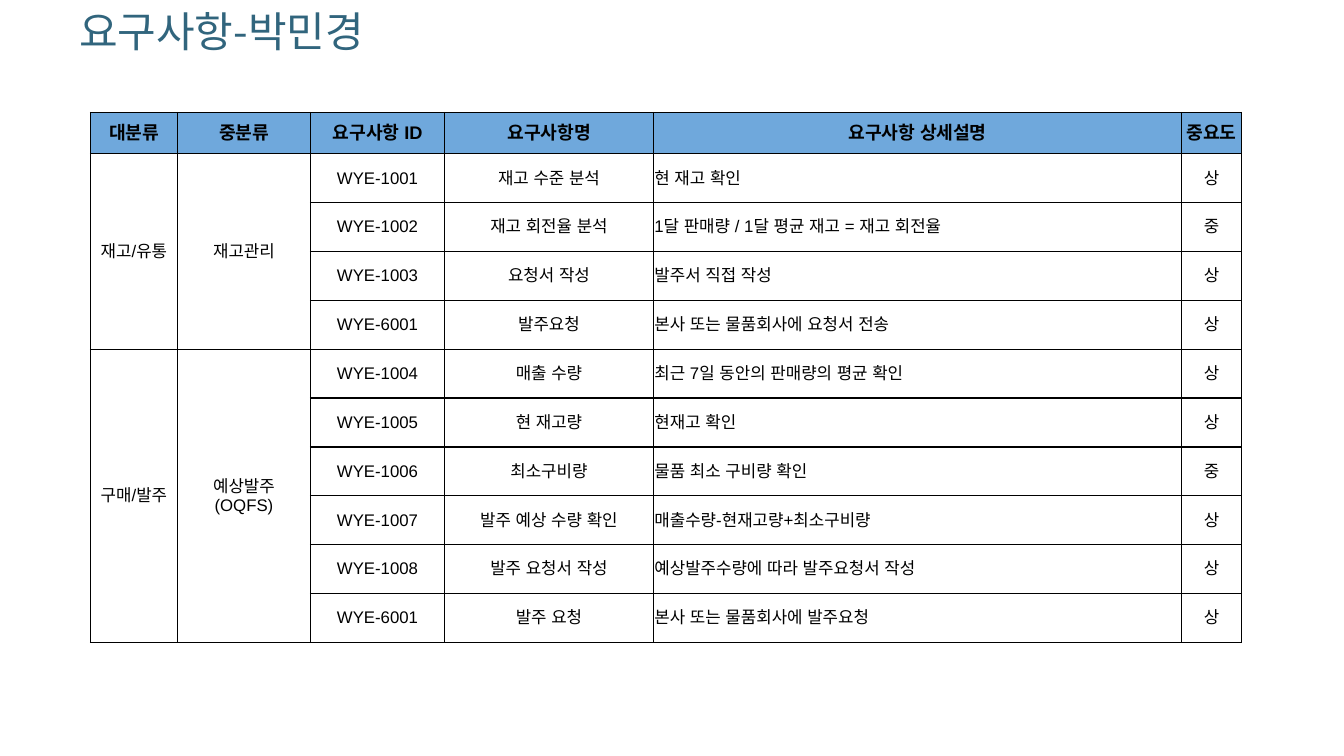
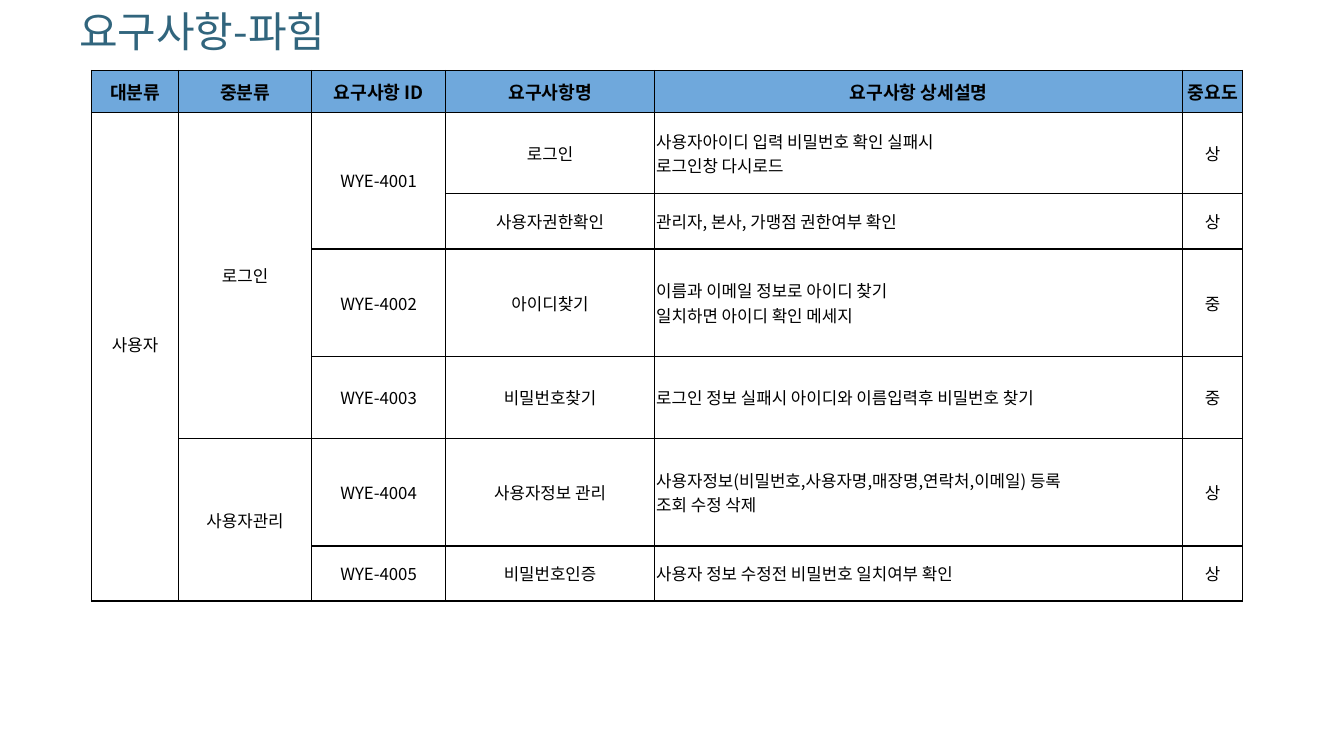
from dataclasses import dataclass

from lxml import etree
from pptx import Presentation
from pptx.dml.color import RGBColor
from pptx.enum.text import MSO_ANCHOR, MSO_AUTO_SIZE, PP_ALIGN
from pptx.oxml.ns import qn
from pptx.util import Pt

LEFT, CENTER = PP_ALIGN.LEFT, PP_ALIGN.CENTER
MIDDLE = MSO_ANCHOR.MIDDLE
NO_AUTOFIT = MSO_AUTO_SIZE.NONE
TITLE_ONLY = 5


@dataclass(frozen=True)
class Theme:
    """Colours, fonts, type sizes and line width of the deck."""
    title: str = "31657D"
    header: str = "6FA8DC"
    ink: str = "000000"
    korean: str = "Noto Sans CJK KR"
    latin: str = "Arial"
    title_size: float = 30
    header_size: float = 13
    body_size: float = 12
    border: float = 1


THEME = Theme()
TITLE_BOX = (42.5, 0, 310, 44)
TITLE_INDENT = 14
COLUMNS = (62.2, 95, 95.8, 149.2, 377.2, 43)
DETAIL_COLUMN = 4
HEADINGS = ("대분류", "중분류", "요구사항 ID", "요구사항명", "요구사항 상세설명", "중요도")

STOCK_ROWS = [
    ("재고/유통", "재고관리", "WYE-1001", "재고 수준 분석", "현 재고 확인", "상"),
    (None, None, "WYE-1002", "재고 회전율 분석", "1달 판매량 / 1달 평균 재고 = 재고 회전율", "중"),
    (None, None, "WYE-1003", "요청서 작성", "발주서 직접 작성", "상"),
    (None, None, "WYE-6001", "발주요청", "본사 또는 물품회사에 요청서 전송", "상"),
    ("구매/발주", "예상발주\n(OQFS)", "WYE-1004", "매출 수량", "최근 7일 동안의 판매량의 평균 확인", "상"),
    (None, None, "WYE-1005", "현 재고량", "현재고 확인", "상"),
    (None, None, "WYE-1006", "최소구비량", "물품 최소 구비량 확인", "중"),
    (None, None, "WYE-1007", "발주 예상 수량 확인", "매출수량-현재고량+최소구비량", "상"),
    (None, None, "WYE-1008", "발주 요청서 작성", "예상발주수량에 따라 발주요청서 작성", "상"),
    (None, None, "WYE-6001", "발주 요청", "본사 또는 물품회사에 발주요청", "상"),
]
USER_ROWS = [
    ("사용자", "로그인", "WYE-4001", "로그인",
     "사용자아이디 입력 비밀번호 확인 실패시\n로그인창 다시로드", "상"),
    (None, None, None, "사용자권한확인", "관리자, 본사, 가맹점 권한여부 확인", "상"),
    (None, None, "WYE-4002", "아이디찾기",
     "이름과 이메일 정보로 아이디 찾기\n일치하면 아이디 확인 메세지", "중"),
    (None, None, "WYE-4003", "비밀번호찾기",
     "로그인 정보 실패시 아이디와 이름입력후 비밀번호 찾기", "중"),
    (None, "사용자관리", "WYE-4004", "사용자정보 관리",
     "사용자정보(비밀번호,사용자명,매장명,연락처,이메일) 등록\n조회 수정 삭제", "상"),
    (None, None, "WYE-4005", "비밀번호인증", "사용자 정보 수정전 비밀번호 일치여부 확인", "상"),
]


def add_text(p, text, font, size, color, bold=False):
    """Add text to a paragraph, one run for each line."""
    for i, line in enumerate(text.split("\n")):
        if i:
            p.add_line_break()
        r = p.add_run()
        r.text = line
        r.font.size, r.font.bold = Pt(size), bold
        r.font.color.rgb = RGBColor.from_string(color)
        r.font.name = font
        etree.SubElement(r.font._element, qn("a:ea"), typeface=font)


def add_title(s, text, box):
    """Place the slide title in its box."""
    sp = s.shapes.title
    sp.left, sp.top, sp.width, sp.height = map(Pt, box)
    tf = sp.text_frame
    tf.auto_size, tf.word_wrap, tf.vertical_anchor = NO_AUTOFIT, True, MIDDLE
    tf.margin_left = Pt(TITLE_INDENT)
    tf.margin_right = tf.margin_top = tf.margin_bottom = 0
    p = tf.paragraphs[0]
    p.alignment = LEFT
    add_text(p, text, THEME.korean, THEME.title_size, THEME.title)


def add_borders(cell):
    """Draw a solid line on all four sides of a cell."""
    tc_pr = cell._tc.get_or_add_tcPr()
    for i, side in enumerate(("a:lnL", "a:lnR", "a:lnT", "a:lnB")):
        ln = etree.Element(qn(side), w=str(Pt(THEME.border)))
        fill = etree.SubElement(ln, qn("a:solidFill"))
        etree.SubElement(fill, qn("a:srgbClr"), val=THEME.ink)
        tc_pr.insert(i, ln)


def fill_cell(cell, text, font, side_inset, align, header):
    """Format one cell and write its text."""
    cell.margin_left = cell.margin_right = Pt(side_inset)
    cell.margin_top = cell.margin_bottom = Pt(0.7)
    cell.vertical_anchor = MIDDLE
    if header:
        cell.fill.solid()
        cell.fill.fore_color.rgb = RGBColor.from_string(THEME.header)
    else:
        cell.fill.background()
    add_borders(cell)
    if text:
        p = cell.text_frame.paragraphs[0]
        p.alignment = align
        size = THEME.header_size if header else THEME.body_size
        add_text(p, text, font, size, THEME.ink, header)


def merge_groups(table, rows):
    """Merge each cell with the empty ones below it."""
    for c, column in enumerate(zip(*rows)):
        starts = [i for i, text in enumerate(column) if text is not None]
        for start, end in zip(starts, starts[1:] + [len(rows)]):
            if end - start > 1:
                table.cell(start, c).merge(table.cell(end - 1, c))


def add_requirements(s, origin, rows, heights, font, side_inset):
    """Build the requirements table from its top left corner."""
    rows = [HEADINGS, *rows]
    box = (*origin, sum(COLUMNS), sum(heights))
    table = s.shapes.add_table(len(rows), len(COLUMNS), *map(Pt, box)).table
    table.first_row = table.horz_banding = False
    for column, width in zip(table.columns, COLUMNS):
        column.width = Pt(width)
    for r, (row, height) in enumerate(zip(rows, heights)):
        table.rows[r].height = Pt(height)
        for c, text in enumerate(row):
            align = LEFT if r and c == DETAIL_COLUMN else CENTER
            fill_cell(table.cell(r, c), text, font, side_inset, align, r == 0)
    merge_groups(table, rows)
    return table


def requirements_slide(prs, title, **table_options):
    """Add a slide with a title and a requirements table."""
    s = prs.slides.add_slide(prs.slide_layouts[TITLE_ONLY])
    add_title(s, title, TITLE_BOX)
    return add_requirements(s, **table_options)


def main():
    """Build and save the deck."""
    prs = Presentation()
    prs.slide_width, prs.slide_height = Pt(960), Pt(540)
    requirements_slide(
        prs, "요구사항-박민경", origin=(64.6, 80.4), rows=STOCK_ROWS,
        heights=[29.5] + [34.92] * len(STOCK_ROWS), font=THEME.latin, side_inset=0.7)
    users = requirements_slide(
        prs, "요구사항-파힘", origin=(65.4, 50.4), rows=USER_ROWS,
        heights=[29.8, 58.2, 39.5, 76.9, 58.4, 76.9, 39.3], font=THEME.korean, side_inset=1.2)
    users.cell(1, 0).margin_bottom = Pt(18)
    prs.save("out.pptx")


if __name__ == "__main__":
    main()
